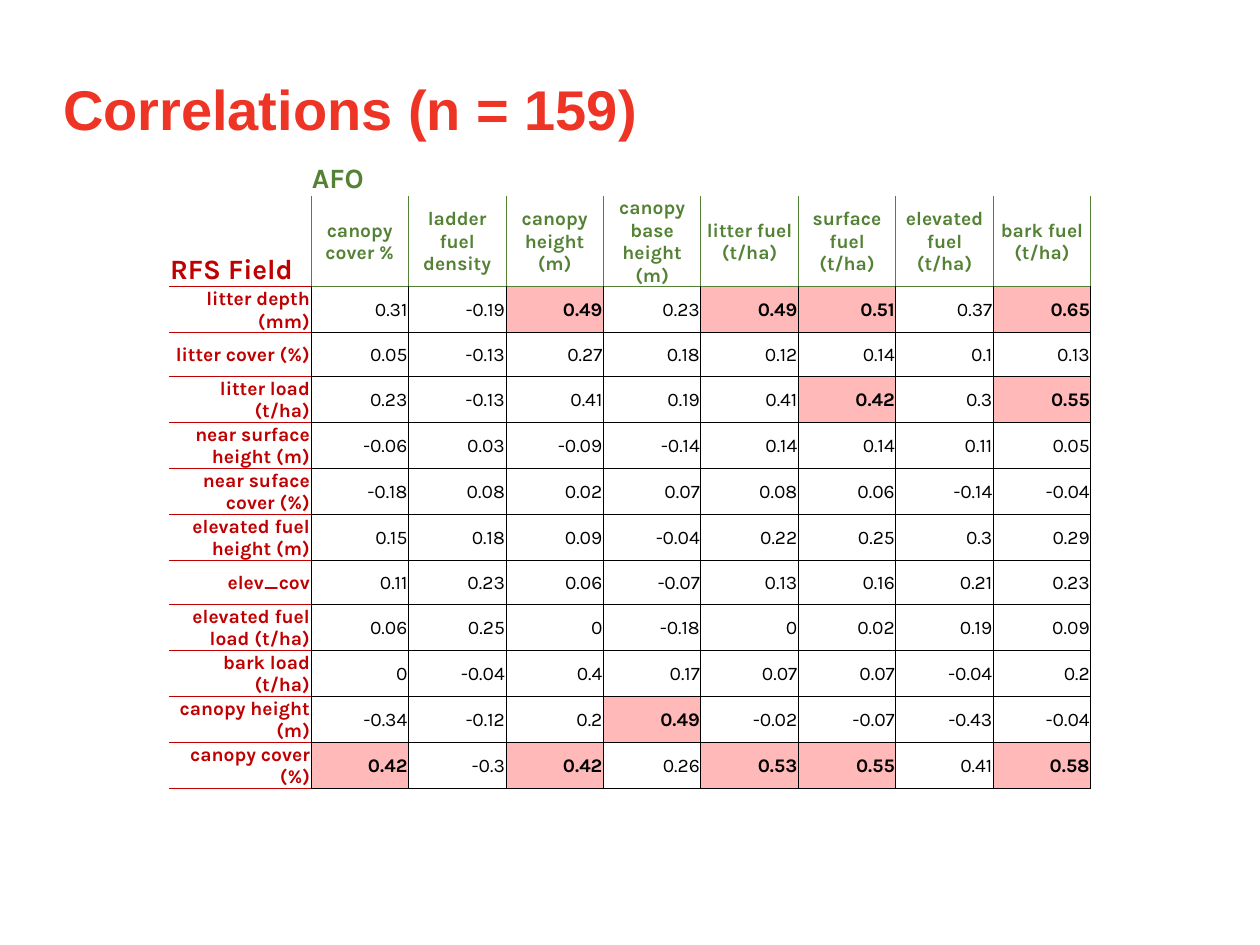
from pptx import Presentation
from pptx.dml.color import RGBColor
from pptx.enum.text import MSO_ANCHOR, PP_ALIGN
from pptx.oxml.ns import qn
from pptx.util import Pt
from lxml.etree import SubElement

PX = 914400 // 126
RED, GREEN, DARK_RED, BLACK, PINK = "EE3424", "548235", "C00000", "000000", "FFB9B9"
NO_STYLE = "{2D5ABB26-0587-4C30-8999-92F81FD0307C}"
HIGHLIGHT_FROM = 0.42
LABEL_MARGINS = (1, 1, 1, 0)
VALUE_MARGINS = (1, 5, 1, 5)

AFO_MEASURES = [
    "canopy cover %", "ladder fuel density", "canopy height (m)",
    "canopy base height (m)", "litter fuel (t/ha)", "surface fuel (t/ha)",
    "elevated fuel (t/ha)", "bark fuel (t/ha)",
]
CORRELATIONS = [
    ("litter depth (mm)", [0.31, -0.19, 0.49, 0.23, 0.49, 0.51, 0.37, 0.65]),
    ("litter cover (%)", [0.05, -0.13, 0.27, 0.18, 0.12, 0.14, 0.1, 0.13]),
    ("litter load (t/ha)", [0.23, -0.13, 0.41, 0.19, 0.41, 0.42, 0.3, 0.55]),
    ("near surface height (m)", [-0.06, 0.03, -0.09, -0.14, 0.14, 0.14, 0.11, 0.05]),
    ("near suface cover (%)", [-0.18, 0.08, 0.02, 0.07, 0.08, 0.06, -0.14, -0.04]),
    ("elevated fuel height (m)", [0.15, 0.18, 0.09, -0.04, 0.22, 0.25, 0.3, 0.29]),
    ("elev_cov", [0.11, 0.23, 0.06, -0.07, 0.13, 0.16, 0.21, 0.23]),
    ("elevated fuel load (t/ha)", [0.06, 0.25, 0, -0.18, 0, 0.02, 0.19, 0.09]),
    ("bark load (t/ha)", [0, -0.04, 0.4, 0.17, 0.07, 0.07, -0.04, 0.2]),
    ("canopy height (m)", [-0.34, -0.12, 0.2, 0.49, -0.02, -0.07, -0.43, -0.04]),
    ("canopy cover (%)", [0.42, -0.3, 0.42, 0.26, 0.53, 0.55, 0.41, 0.58]),
]


def px(n):
    return n * PX


def rgb(color):
    return RGBColor.from_string(color)


def add_run(p, text, size, color, bold=True, font="Karla"):
    r = p.add_run()
    r.text = text
    r.font.name = font
    r.font.size = Pt(size)
    r.font.bold = bold
    r.font.color.rgb = rgb(color)


def set_borders(cell, **colors):
    """Draw the named sides (L, R, T, B); hide the others."""
    tc_pr = cell._tc.get_or_add_tcPr()
    for side in "LRTB":
        ln = SubElement(tc_pr, qn(f"a:ln{side}"), w=str(Pt(0.5)))
        if side in colors:
            fill = SubElement(ln, qn("a:solidFill"))
            SubElement(fill, qn("a:srgbClr"), val=colors[side])
        else:
            SubElement(ln, qn("a:noFill"))


def format_cell(cell, borders, margins=LABEL_MARGINS, fill=None):
    set_borders(cell, **borders)
    if fill:
        cell.fill.solid()
        cell.fill.fore_color.rgb = rgb(fill)
    else:
        cell.fill.background()
    (cell.margin_left, cell.margin_top,
     cell.margin_right, cell.margin_bottom) = map(px, margins)


def write_cell(cell, text, color, size=11, bold=True, align=PP_ALIGN.LEFT,
               anchor=MSO_ANCHOR.MIDDLE):
    cell.vertical_anchor = anchor
    p = cell.text_frame.paragraphs[0]
    p.alignment = align
    add_run(p, text, size, color, bold)


def add_title(slide, text):
    sp = slide.shapes.title
    sp.left, sp.top, sp.width, sp.height = px(63), px(69), px(1134), px(90)
    tf = sp.text_frame
    tf.margin_left = tf.margin_top = tf.margin_right = tf.margin_bottom = 0
    tf.vertical_anchor = MSO_ANCHOR.MIDDLE
    tf.word_wrap = True
    p = tf.paragraphs[0]
    p.alignment = PP_ALIGN.LEFT
    p.line_spacing = 0.8
    add_run(p, text, 32, RED, font="Arial")


def add_grid(slide):
    row_heights = [37, 72] + [44] * len(CORRELATIONS)
    columns = len(AFO_MEASURES) + 1
    frame = slide.shapes.add_table(len(row_heights), columns, px(169), px(159),
                                   px(922), px(sum(row_heights)))
    table = frame.table
    table.first_row = table.horz_banding = False
    table._tbl.tblPr.find(qn("a:tableStyleId")).text = NO_STYLE
    for row, height in zip(table.rows, row_heights):
        row.height = px(height)
    for i, column in enumerate(table.columns):
        column.width = px(780) // len(AFO_MEASURES) if i else px(142)
    return table


def fill_headers(table):
    # Group names
    for i in range(len(table.columns)):
        cell = table.cell(0, i)
        format_cell(cell, {})
        if i != 1:
            p = cell.text_frame.paragraphs[0]
            p._p.get_or_add_endParaRPr().set("sz", "1100")
    write_cell(table.cell(0, 1), "AFO", GREEN, 16, anchor=MSO_ANCHOR.BOTTOM)
    corner = table.cell(1, 0)
    format_cell(corner, dict(R=GREEN, B=DARK_RED))
    write_cell(corner, "RFS Field", DARK_RED, 16, anchor=MSO_ANCHOR.BOTTOM)

    # Column headings
    for i, measure in enumerate(AFO_MEASURES, 1):
        cell = table.cell(1, i)
        format_cell(cell, dict(L=GREEN, R=GREEN, B=GREEN))
        write_cell(cell, measure, GREEN, align=PP_ALIGN.CENTER)


def fill_correlations(table):
    for row, (label, values) in enumerate(CORRELATIONS, 2):
        cell = table.cell(row, 0)
        format_cell(cell, dict(R=BLACK, T=DARK_RED, B=DARK_RED))
        write_cell(cell, label, DARK_RED, align=PP_ALIGN.RIGHT)
        top = GREEN if row == 2 else BLACK
        for i, value in enumerate(values, 1):
            cell = table.cell(row, i)
            strong = value >= HIGHLIGHT_FROM
            format_cell(cell, dict(L=BLACK, R=BLACK, T=top, B=BLACK),
                        VALUE_MARGINS, PINK if strong else None)
            write_cell(cell, str(value), BLACK, bold=strong, align=PP_ALIGN.RIGHT)


def main():
    prs = Presentation()
    prs.slide_width, prs.slide_height = px(1260), px(945)
    slide = prs.slides.add_slide(prs.slide_layouts[5])
    add_title(slide, "Correlations (n = 159)")
    table = add_grid(slide)
    fill_headers(table)
    fill_correlations(table)
    prs.save("out.pptx")


if __name__ == "__main__":
    main()
